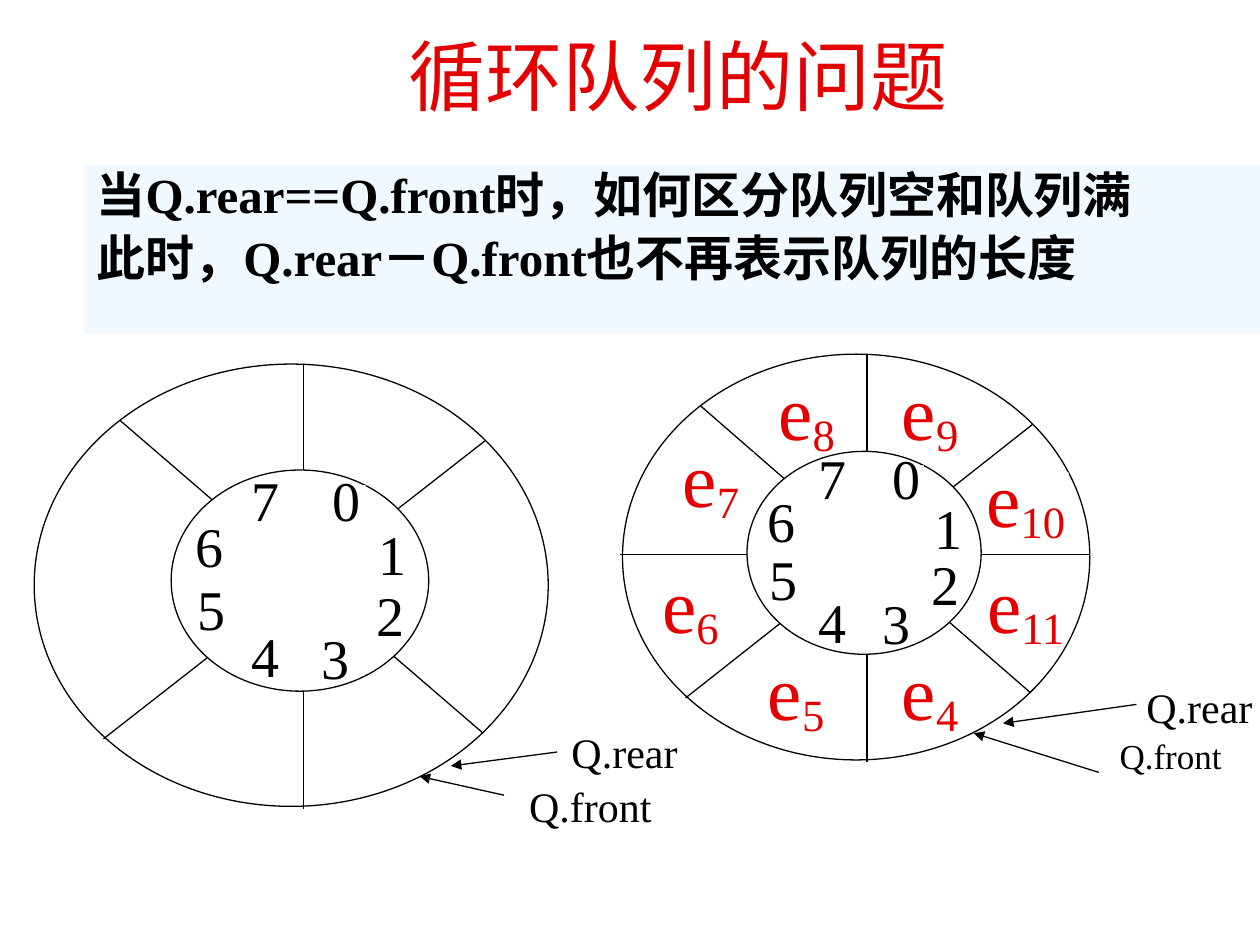
from lxml.etree import SubElement
from pptx import Presentation
from pptx.dml.color import RGBColor
from pptx.enum.shapes import MSO_CONNECTOR as Connector, MSO_SHAPE as Shape
from pptx.enum.text import MSO_ANCHOR as Anchor, PP_ALIGN as Align
from pptx.oxml.ns import qn
from pptx.util import Cm, Pt

COLORS = {"black": "000000", "white": "FFFFFF", "red": "E40000", "panel": "E1F4FF"}
SERIF = "Times New Roman"

# Ring layout in cm, measured from the corner of a full-size ring.
RING_SIZE = (9.42, 8.18)
HUB = (2.51, 1.96, 4.72, 4.09)
SPOKES = [
    ((4.93, 0), (4.93, 8.23)),
    ((8.26, 1.42), (1.27, 6.93)),
    ((1.57, 1.04), (8.23, 6.83)),
]
CROSS_SPOKE = ((-0.05, 4.04), (9.42, 4.04))
INDEX_CENTERS = [
    (5.73, 2.57), (6.57, 3.58), (6.52, 4.7), (5.52, 5.49),
    (4.23, 5.46), (3.24, 4.6), (3.21, 3.43), (4.23, 2.57),
]
ELEMENT_CENTERS = {
    4: (6.2, 6.86), 5: (3.5, 6.86), 6: (1.37, 5.1), 7: (1.78, 2.56),
    8: (3.71, 1.22), 9: (6.2, 1.22), 10: (8.13, 2.97), 11: (8.13, 5.1),
}


def rgb(name):
    return RGBColor.from_string(COLORS[name])


def style(paragraph, size, color="black", name=SERIF, bold=False, align=Align.CENTER):
    paragraph.alignment = align
    paragraph.font.size = Pt(size)
    paragraph.font.name = name
    paragraph.font.bold = bold
    paragraph.font.color.rgb = rgb(color)


def add_box(page, kind, left, top, width, height, fill="white", outlined=False):
    box = page.shapes.add_shape(kind, Cm(left), Cm(top), Cm(width), Cm(height))
    box.shadow.inherit = False
    box.fill.solid()
    box.fill.fore_color.rgb = rgb(fill)
    if outlined:
        box.line.color.rgb = rgb("black")
        box.line.width = Pt(0.75)
    else:
        box.line.fill.background()
    return box


def add_line(page, start, end, arrow=False):
    line = page.shapes.add_connector(Connector.STRAIGHT, *map(Cm, (*start, *end)))
    line.line.color.rgb = rgb("black")
    line.line.width = Pt(0.75)
    if arrow:
        SubElement(line.line._get_or_add_ln(), qn("a:tailEnd"), type="triangle")
    SubElement(line._element.spPr, qn("a:effectLst"))


def add_mark(page, center, size, text, points, color="black", subscript=""):
    """White box with one centred symbol and, if given, its subscript."""
    (x, y), (width, height) = center, size
    box = add_box(page, Shape.RECTANGLE, x - width / 2, y - height / 2, width, height)
    frame = box.text_frame
    frame.word_wrap = False
    frame.vertical_anchor = Anchor.MIDDLE
    para = frame.paragraphs[0]
    para.line_spacing = 0.9
    style(para, points, color)
    para.add_run().text = text
    if subscript:
        span = para.add_run()
        span.text = subscript
        span._r.get_or_add_rPr().set("baseline", "-14000")


def add_ring(page, left, top, scale_x, scale_y, spokes, elements):
    def place(point):
        return left + point[0] * scale_x, top + point[1] * scale_y

    def resize(size):
        return size[0] * scale_x, size[1] * scale_y

    add_box(page, Shape.OVAL, left, top, *resize(RING_SIZE), outlined=True)
    for start, end in spokes:
        add_line(page, place(start), place(end))
    add_box(page, Shape.OVAL, *place(HUB[:2]), *resize(HUB[2:]), outlined=True)
    for index, center in enumerate(INDEX_CENTERS):
        add_mark(page, place(center), resize((0.69, 0.66)), str(index), 32)
    for number, center in elements.items():
        add_mark(page, place(center), resize((1.73, 1.17)), "e", 44, "red", str(number))


def add_text(page, left, top, width, height, text, size, inset=0, **look):
    box = page.shapes.add_textbox(Cm(left), Cm(top), Cm(width), Cm(height))
    frame = box.text_frame
    frame.word_wrap = True
    frame.margin_left = frame.margin_right = Cm(inset)
    frame.vertical_anchor = Anchor.MIDDLE if inset else Anchor.TOP
    para = frame.paragraphs[0]
    para.text = text
    para.line_spacing = 1.0 if inset else 0.9
    style(para, size, **look)


def add_question(page, lines):
    panel = add_box(page, Shape.RECTANGLE, 1.7, 3.33, 23.7, 3.4, "panel")
    color = panel._element.spPr.find(qn("a:solidFill"))[0]
    SubElement(color, qn("a:alpha"), val="50000")
    frame = panel.text_frame
    frame.word_wrap = True
    frame.vertical_anchor = Anchor.TOP
    for number, line in enumerate(lines):
        para = frame.add_paragraph() if number else frame.paragraphs[0]
        para.text = line
        para.line_spacing = 0.9
        para.space_before = Pt(5.6 if number else 0)
        properties = para._p.get_or_add_pPr()
        properties.set("marL", str(Cm(0.95)))
        properties.set("indent", str(Cm(-0.95)))
        style(para, 28, bold=True, align=Align.LEFT)


def main():
    deck = Presentation()
    deck.slide_width, deck.slide_height = Cm(25.4), Cm(19.05)
    page = deck.slides.add_slide(deck.slide_layouts[6])

    add_text(page, 3.1, 0.33, 21.16, 2.34, "循环队列的问题", 44, inset=0.25,
             color="red", name="Arial")
    add_question(page, [
        "当Q.rear==Q.front时，如何区分队列空和队列满",
        "此时，Q.rear－Q.front也不再表示队列的长度",
    ])

    add_ring(page, 12.55, 7.14, 1, 1, [CROSS_SPOKE, *SPOKES], ELEMENT_CENTERS)
    add_ring(page, 0.69, 7.34, 1.1, 1.09, SPOKES, {})

    for left, top, width, text, size in [
        (22.15, 14.78, 2.9, "Q.front", 20),
        (22.73, 13.72, 2.9, "Q.rear", 24),
        (10.31, 15.72, 3.18, "Q.front", 24),
        (11.0, 14.63, 3.18, "Q.rear", 24),
    ]:
        add_text(page, left, top, width, 1.17, text, size)
    for start, end in [
        ((22.15, 15.57), (19.63, 14.78)),
        ((22.91, 14.2), (20.22, 14.58)),
        ((10.16, 16.03), (8.46, 15.65)),
        ((11.23, 15.16), (9.09, 15.44)),
    ]:
        add_line(page, start, end, arrow=True)

    deck.save("out.pptx")


if __name__ == "__main__":
    main()
